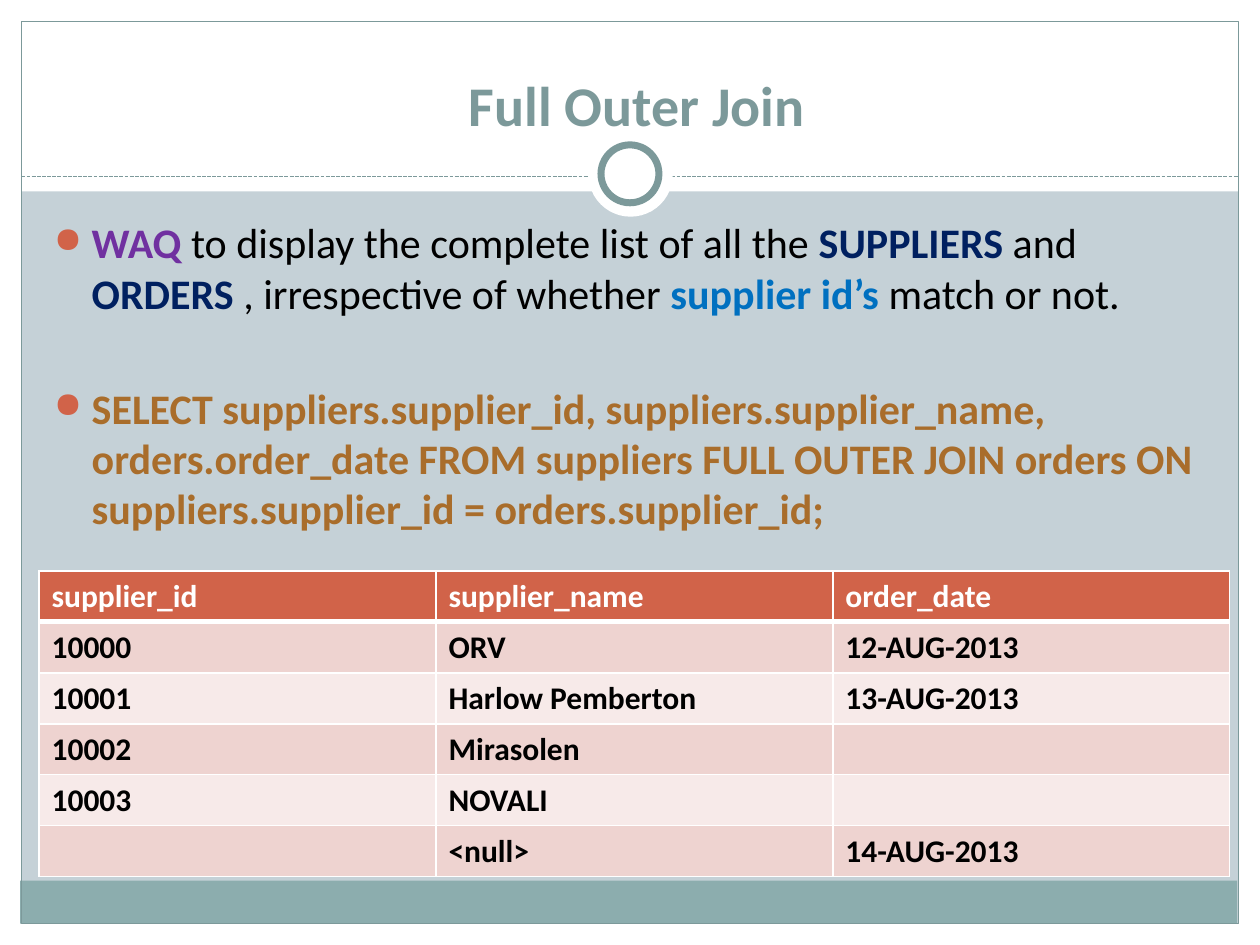
from lxml import etree
from pptx import Presentation
from pptx.dml.color import RGBColor
from pptx.enum.dml import MSO_LINE
from pptx.enum.shapes import MSO_CONNECTOR, MSO_SHAPE
from pptx.enum.text import MSO_ANCHOR, PP_ALIGN
from pptx.oxml.ns import qn
from pptx.util import Inches, Pt

RECTANGLE, OVAL = MSO_SHAPE.RECTANGLE, MSO_SHAPE.OVAL
STRAIGHT = MSO_CONNECTOR.STRAIGHT
DASH = MSO_LINE.SQUARE_DOT
CENTER = PP_ALIGN.CENTER
TOP, MIDDLE, BOTTOM = MSO_ANCHOR.TOP, MSO_ANCHOR.MIDDLE, MSO_ANCHOR.BOTTOM

WHITE = RGBColor(0xFF, 0xFF, 0xFF)
BLACK = RGBColor(0, 0, 0)
BACKDROP = RGBColor(0xC5, 0xD1, 0xD7)
TEAL = RGBColor(0x7C, 0x99, 0x9A)
FOOTER = RGBColor(0x8C, 0xAD, 0xAE)
ORANGE = RGBColor(0xD1, 0x63, 0x49)
PURPLE = RGBColor(0x70, 0x30, 0xA0)
NAVY = RGBColor(0x00, 0x20, 0x60)
BLUE = RGBColor(0x00, 0x70, 0xC0)
BROWN = RGBColor(0xA9, 0x6D, 0x2B)
BANDS = (RGBColor(0xF7, 0xEA, 0xE9), RGBColor(0xEE, 0xD3, 0xD0))


class SlideBuilder:
    font_name = "Calibri"

    def __init__(self, slide):
        self.slide = slide

    def background(self, color):
        self.slide.background.fill.solid()
        self.slide.background.fill.fore_color.rgb = color

    def shape(self, kind, box, fill=None, line=None, width=0.75):
        shape = self.slide.shapes.add_shape(kind, *map(Inches, box))
        shape.shadow.inherit = False
        if fill is None:
            shape.fill.background()
        else:
            shape.fill.solid()
            shape.fill.fore_color.rgb = fill
        if line is None:
            shape.line.fill.background()
        else:
            shape.line.color.rgb = line
            shape.line.width = Pt(width)

    def dashed_line(self, left, right, y, color):
        rule = self.slide.shapes.add_connector(
            STRAIGHT, Inches(left), Inches(y), Inches(right), Inches(y))
        rule.line.color.rgb = color
        rule.line.width = Pt(0.75)
        rule.line.dash_style = DASH
        etree.SubElement(rule._element.spPr, qn("a:effectLst"))

    def style(self, font, size, color, bold=True):
        font.name, font.size, font.bold = self.font_name, Pt(size), bold
        font.color.rgb = color

    def text_frame(self, box, anchor):
        frame = self.slide.shapes.add_textbox(*map(Inches, box)).text_frame
        frame.word_wrap = True
        frame.vertical_anchor = anchor
        return frame

    def title(self, box, text):
        paragraph = self.text_frame(box, BOTTOM).paragraphs[0]
        paragraph.text = text
        paragraph.alignment = CENTER
        self.style(paragraph.font, 32, TEAL)

    def bullet(self, paragraph):
        properties = paragraph._p.get_or_add_pPr()
        properties.set("marL", str(Inches(0.3)))
        properties.set("indent", str(Inches(-0.3)))
        color = etree.SubElement(properties, qn("a:buClr"))
        etree.SubElement(color, qn("a:srgbClr"), val=str(ORANGE))
        etree.SubElement(properties, qn("a:buSzPct"), val="85000")
        etree.SubElement(properties, qn("a:buChar"), char="●")

    def bullets(self, box, items, gap):
        frame = self.text_frame(box, TOP)
        for index, pieces in enumerate(items):
            paragraph = frame.add_paragraph() if index else frame.paragraphs[0]
            if index:
                paragraph.space_before = Pt(gap)
            self.bullet(paragraph)
            if len(pieces) == 1:
                self.style(paragraph.font, 24, pieces[0][1])
            for text, color in pieces:
                run = paragraph.add_run()
                run.text = text
                if len(pieces) > 1:
                    self.style(run.font, 24, color, color != BLACK)

    def borders(self, cell, widths):
        properties = cell._tc.get_or_add_tcPr()
        for side, width in zip("LRTB", widths):
            line = etree.SubElement(properties, qn(f"a:ln{side}"), w=str(Pt(width)))
            fill = etree.SubElement(line, qn("a:solidFill"))
            etree.SubElement(fill, qn("a:srgbClr"), val=str(WHITE))

    def table(self, box, rows):
        table = self.slide.shapes.add_table(
            len(rows), len(rows[0]), *map(Inches, box)).table
        for row_index, row in enumerate(rows):
            header = row_index == 0
            widths = (1, 1, 3 if row_index == 1 else 1, 3 if header else 1)
            for column_index, text in enumerate(row):
                cell = table.cell(row_index, column_index)
                self.borders(cell, widths)
                cell.fill.solid()
                cell.fill.fore_color.rgb = ORANGE if header else BANDS[row_index % 2]
                cell.vertical_anchor = MIDDLE
                cell.margin_left = cell.margin_right = Inches(0.1)
                cell.margin_top = cell.margin_bottom = Inches(0.04)
                cell.text = text
                self.style(cell.text_frame.paragraphs[0].font, 18,
                           WHITE if header else BLACK)


def main():
    presentation = Presentation()
    presentation.slide_width, presentation.slide_height = Inches(10), Inches(7.5)
    builder = SlideBuilder(
        presentation.slides.add_slide(presentation.slide_layouts[6]))

    builder.background(BACKDROP)
    for margin in ((0, 7.33, 10, 0.17), (0, 0, 10, 1.52),
                   (0, 0, 0.17, 7.5), (9.83, 0, 0.17, 7.5)):
        builder.shape(RECTANGLE, margin, WHITE)
    builder.shape(RECTANGLE, (0.16, 6.99, 9.66, 0.34), FOOTER)
    builder.shape(RECTANGLE, (0.17, 0.17, 9.66, 7.16), line=TEAL)
    builder.dashed_line(0.17, 9.83, 1.4, TEAL)
    builder.shape(OVAL, (4.67, 1.05, 0.67, 0.67), WHITE)
    builder.shape(OVAL, (4.77, 1.15, 0.46, 0.46), WHITE, TEAL, 4)

    builder.title((0.39, 0.31, 9.33, 0.83), "Full Outer Join")
    question = [
        ("WAQ", PURPLE),
        (" to display the complete list of all the ", BLACK),
        ("SUPPLIERS", NAVY),
        (" and ", BLACK),
        ("ORDERS", NAVY),
        (" , irrespective of whether ", BLACK),
        ("supplier id’s ", BLUE),
        ("match or not.", BLACK),
    ]
    query = [(
        "SELECT suppliers.supplier_id, suppliers.supplier_name, "
        "orders.order_date FROM suppliers FULL OUTER JOIN orders ON "
        "suppliers.supplier_id = orders.supplier_id;", BROWN)]
    builder.bullets((0.33, 1.67, 9.3, 5.31), [question, query], gap=37)

    builder.table((0.31, 4.53, 9.45, 2.43), [
        ("supplier_id", "supplier_name", "order_date"),
        ("10000", "ORV", "12-AUG-2013"),
        ("10001", "Harlow Pemberton", "13-AUG-2013"),
        ("10002", "Mirasolen", ""),
        ("10003", "NOVALI", ""),
        ("", "<null>", "14-AUG-2013"),
    ])
    presentation.save("out.pptx")


if __name__ == "__main__":
    main()
